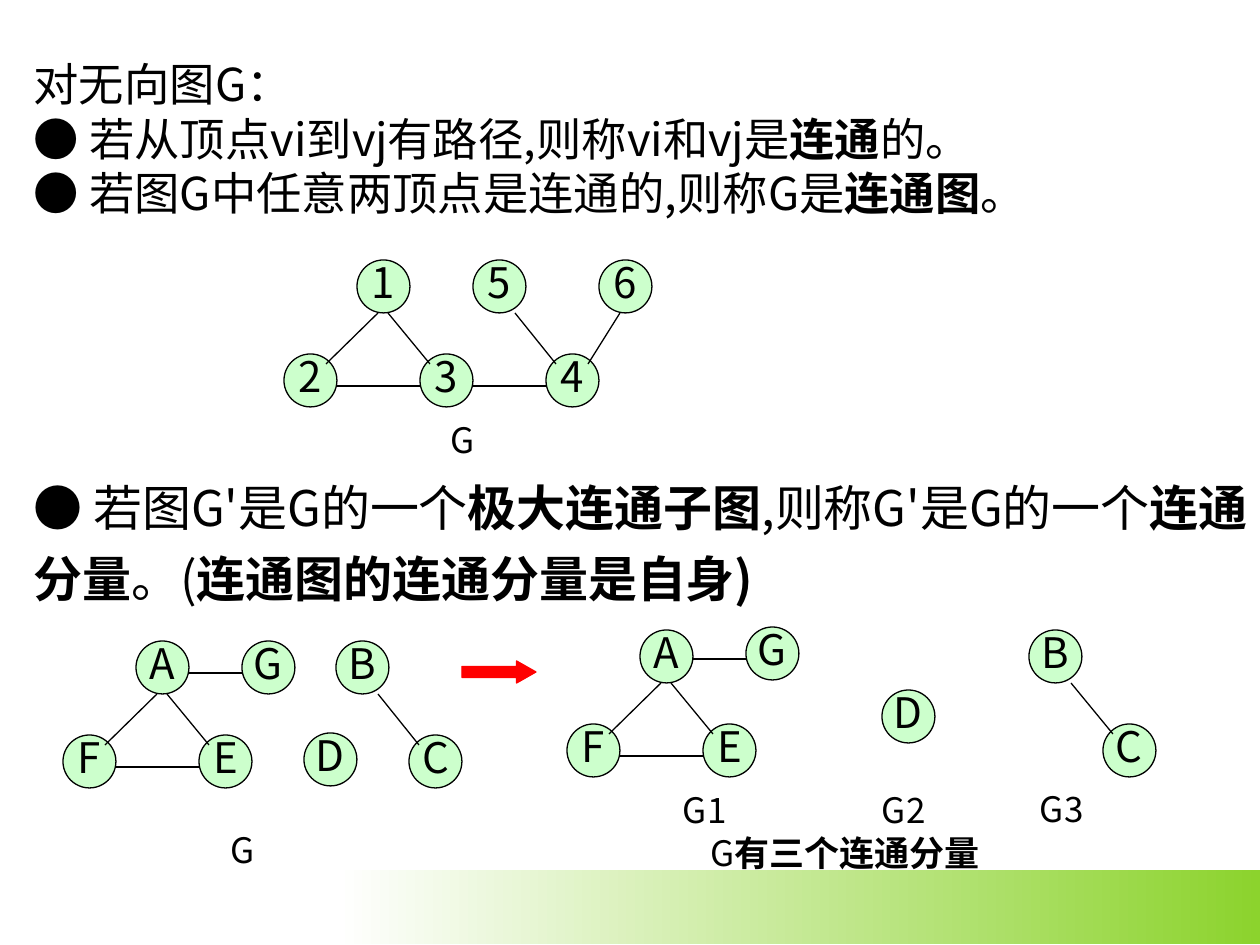
from dataclasses import dataclass

from lxml import etree
from pptx import Presentation
from pptx import util as u
from pptx.dml.color import RGBColor
from pptx.enum import shapes, text
from pptx.oxml import ns

SCALE = u.Inches(1) / 126
NODE = 53
EDGE_PORTS = {
    "down_left": ((21, 53), (42, 10)),
    "down": ((31, 53), (10, 10)),
    "down_far": ((42, 53), (10, 10)),
    "across": ((53, 32), (0, 32)),
}
TRIANGLE = {"A": (73, 0), "F": (0, 94), "E": (136, 94)}
TRIANGLE_EDGES = [("A", "F", "down_left"), ("A", "E", "down"),
                  ("F", "E", "across"), ("A", "G", "across")]
PAIR_EDGE = ("B", "C", "down_far")


@dataclass(frozen=True)
class Theme:
    font: str = "Noto Sans CJK SC"
    ink: RGBColor = RGBColor.from_string("000000")
    node: RGBColor = RGBColor.from_string("CCFFCC")
    arrow: RGBColor = RGBColor.from_string("FF0000")
    band: RGBColor = RGBColor.from_string("8CD32D")
    paper: RGBColor = RGBColor.from_string("FFFFFF")
    body: float = 25.9
    definition: float = 28
    label: float = 24
    caption: float = 20
    line: float = 0.75


THEME = Theme()


def px(*lengths):
    return [round(length * SCALE) for length in lengths]


def write(para, spans, size, spacing=1.0):
    para.line_spacing = spacing
    for words, bold in spans:
        span = para.add_run()
        span.text = words
        span.font.size = u.Pt(size)
        span.font.bold = bold
        span.font.color.rgb = THEME.ink
        span.font.name = THEME.font
        east_asian = etree.SubElement(span.font._element, ns.qn("a:ea"))
        east_asian.set("typeface", THEME.font)


def add_text(page, box, spans, size, spacing=1.0, inset=True):
    label = page.shapes.add_textbox(*px(*box))
    frame = label.text_frame
    frame.word_wrap = True
    if not inset:
        frame.margin_left = frame.margin_right = 0
        frame.margin_top = frame.margin_bottom = 0
    write(frame.paragraphs[0], spans, size, spacing)


def add_caption(page, left, top, words):
    add_text(page, (left, top, 53, 29), [(words, False)],
             THEME.caption, 0.7, inset=False)


def add_plain_shape(page, kind, box, fill, line):
    shape = page.shapes.add_shape(kind, *px(*box))
    shape.shadow.inherit = False
    shape.fill.solid()
    shape.fill.fore_color.rgb = fill
    shape.line.color.rgb = line
    shape.line.width = u.Pt(THEME.line)
    return shape


def add_node(page, left, top, name):
    node = add_plain_shape(page, shapes.MSO_SHAPE.OVAL,
                           (left, top, NODE, NODE), THEME.node, THEME.ink)
    frame = node.text_frame
    frame.word_wrap = False
    frame.vertical_anchor = text.MSO_ANCHOR.MIDDLE
    frame.paragraphs[0].alignment = text.PP_ALIGN.CENTER
    write(frame.paragraphs[0], [(name, False)], THEME.label, 0.8)


def add_edge(page, start, end, style):
    (out_x, out_y), (in_x, in_y) = EDGE_PORTS[style]
    finish_x, finish_y = end[0] + in_x, end[1] + in_y
    start_y = finish_y if style == "across" else start[1] + out_y
    edge = page.shapes.add_connector(
        shapes.MSO_CONNECTOR.STRAIGHT,
        *px(start[0] + out_x, start_y, finish_x, finish_y))
    edge.line.color.rgb = THEME.ink
    edge.line.width = u.Pt(THEME.line)
    etree.SubElement(edge._element.spPr, ns.qn("a:effectLst"))


def add_graph(page, left, top, nodes, edges, caption, caption_at):
    places = {name: (left + x, top + y) for name, (x, y) in nodes.items()}
    for name, place in places.items():
        add_node(page, *place, name)
    for start, end, style in edges:
        add_edge(page, places[start], places[end], style)
    add_caption(page, left + caption_at[0], top + caption_at[1], caption)


def add_band(page, box):
    band = page.shapes.add_shape(shapes.MSO_SHAPE.RECTANGLE, *px(*box))
    band.shadow.inherit = False
    band.line.fill.background()
    band.fill.gradient()
    band.fill.gradient_angle = 180
    for stop, color in zip(band.fill.gradient_stops, (THEME.band, THEME.paper)):
        stop.color.rgb = color


def fill_body(page, box):
    body = page.placeholders[1]
    body.left, body.top, body.width, body.height = px(*box)
    frame = body.text_frame
    frame.auto_size = text.MSO_AUTO_SIZE.NONE
    frame.text = "\n" * 2
    lines = [
        [("对无向图G：", False)],
        [("● 若从顶点vi到vj有路径,则称vi和vj是", False), ("连通", True), ("的。", False)],
        [("● 若图G中任意两顶点是连通的,则称G是", False), ("连通图", True), ("。", False)],
    ]
    for para, spans in zip(frame.paragraphs, lines):
        para.space_before = u.Pt(0)
        properties = para._p.get_or_add_pPr()
        properties.set("marL", str(px(48)[0]))
        properties.set("indent", str(px(-48)[0]))
        etree.SubElement(properties, ns.qn("a:buNone"))
        write(para, spans, THEME.body)


def add_definition(page, box):
    add_text(page, box, [
        ("● 若图G'是G的一个", False), ("极大连通子图", True),
        (",则称G'是G的一个", False), ("连通分量", True),
        ("。(", False), ("连通图的连通分量是自身)", True),
    ], THEME.definition, 1.2)


def add_connected_graph(page, left, top):
    nodes = {"1": (73, 0), "2": (0, 94), "3": (136, 94),
             "4": (262, 94), "5": (189, 0), "6": (315, 0)}
    edges = [("1", "2", "down_left"), ("1", "3", "down"),
             ("2", "3", "across"), ("3", "4", "across"),
             ("5", "4", "down_far"), ("6", "4", "down_left")]
    add_graph(page, left, top, nodes, edges, "G", (167, 170))


def add_whole_graph(page, left, top):
    nodes = {**TRIANGLE, "G": (179, 0), "B": (273, 0),
             "C": (346, 94), "D": (241, 92)}
    add_graph(page, left, top, nodes, [*TRIANGLE_EDGES, PAIR_EDGE],
              "G", (168, 199))


def add_components(page, left, top):
    add_graph(page, left, top, {**TRIANGLE, "G": (179, -3)},
              TRIANGLE_EDGES, "G1", (116, 170))
    add_graph(page, left + 315, top, {"D": (0, 60)}, [], "G2", (0, 170))
    add_graph(page, left + 462, top, {"B": (0, 0), "C": (74, 94)},
              [PAIR_EDGE], "G3", (11, 169))
    add_text(page, (left + 131, top + 195, 300, 55),
             [("G", False), ("有三个连通分量", True)], THEME.caption)


def add_arrow(page, box):
    arrow = add_plain_shape(page, shapes.MSO_SHAPE.RIGHT_ARROW, box,
                            THEME.arrow, THEME.arrow)
    arrow.adjustments[1] = 0.88


def main():
    deck = Presentation()
    deck.slide_width, deck.slide_height = px(1260, 945)
    page = deck.slides.add_slide(deck.slide_layouts[1])
    title = page.shapes.title._element
    title.getparent().remove(title)
    add_band(page, (336, 870, 924, 74))
    fill_body(page, (21, 50, 1135, 189))
    add_connected_graph(page, 284, 260)
    add_definition(page, (21, 460, 1239, 154))
    add_whole_graph(page, 63, 641)
    add_arrow(page, (462, 661, 74, 22))
    add_components(page, 567, 630)
    deck.save("out.pptx")


if __name__ == "__main__":
    main()
